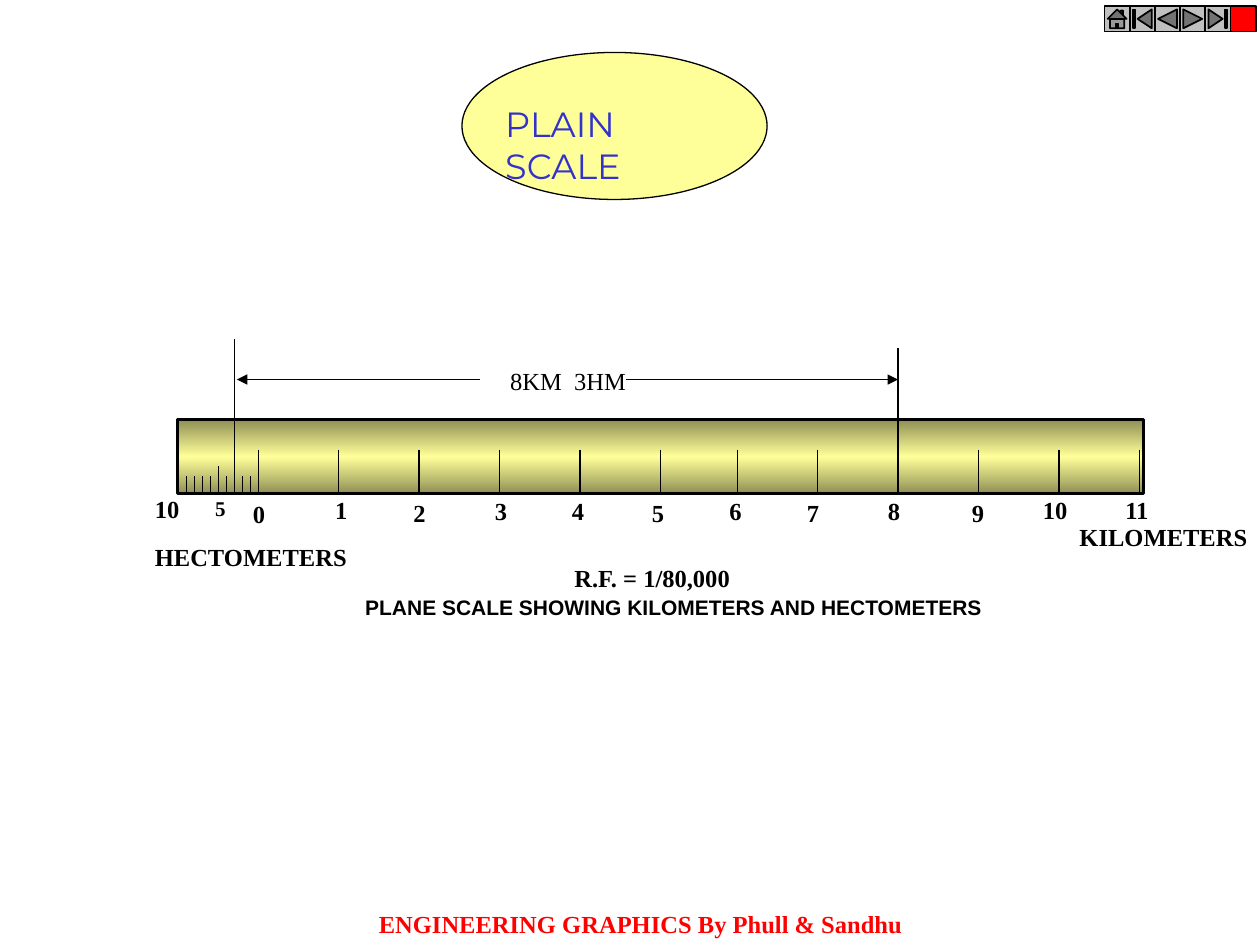
from copy import deepcopy
from typing import NamedTuple

from lxml.etree import SubElement
from pptx import Presentation
from pptx.dml.color import RGBColor
from pptx.enum.shapes import MSO_CONNECTOR as Link, MSO_SHAPE as Kind
from pptx.enum.text import MSO_ANCHOR as Anchor, MSO_AUTO_SIZE as Fit, PP_ALIGN as Align
from pptx.oxml.ns import qn
from pptx.util import Pt

BLACK, RED, GREY = "000000", "FF0000", "C0C0C0"
CREAM, OLIVE, BLUE = "FFFF99", "8F8F56", "3333CC"
SERIF = "Times New Roman"
LEFT, RIGHT, TOP, BASE = 101.5, 653.4, 239.8, 282.2
ZERO, KM, HM = 147.6, 45.95, 4.57


class Label(NamedTuple):
    text: str
    x: float
    y: float
    w: float
    h: float = 24.5
    size: float = 14
    bold: bool = True
    font: str = SERIF
    color: str = BLACK
    align: Align = Align.LEFT
    wrap: bool = False


class Rule(NamedTuple):
    x1: float
    y1: float
    x2: float
    y2: float
    arrow: bool = False


class Mark(NamedTuple):
    """Centre and top of a kilometer number under the ruler."""
    mid: float
    top: float


MARKS = [
    Mark(148, 281.5), Mark(195, 279.4), Mark(239.7, 280.8), Mark(286.3, 280.1),
    Mark(330.3, 280.1), Mark(376, 280.8), Mark(420.3, 280.1), Mark(464.6, 280.8),
    Mark(510.9, 280.1), Mark(558.9, 280.8), Mark(602.9, 279.4), Mark(649.7, 279.4),
]
LABELS = [
    Label("KILOMETERS", 609.8, 294.5, 110.2),
    Label("HECTOMETERS", 81.4, 306, 124.6),
    Label("8KM  3HM", 284.4, 205.9, 80.6, bold=False),
    Label("R.F. = 1/80,000", 321.1, 318.2, 104.4),
    Label("PLANE SCALE SHOWING KILOMETERS AND HECTOMETERS",
          201.6, 336.2, 367.9, 21.6, 12, font="Arial"),
    Label("10", 81.4, 278.6, 28.1),
    Label("5", 115.9, 279.4, 20.2, 21.6, 12),
    Label("ENGINEERING GRAPHICS By Phull & Sandhu", 192.2, 516.2, 347.8,
          color=RED, align=Align.CENTER, wrap=True),
]
BUTTONS = [
    Kind.ACTION_BUTTON_HOME, Kind.ACTION_BUTTON_BEGINNING,
    Kind.ACTION_BUTTON_BACK_OR_PREVIOUS, Kind.ACTION_BUTTON_FORWARD_OR_NEXT,
    Kind.ACTION_BUTTON_END, Kind.ACTION_BUTTON_CUSTOM,
]


def rgb(color: str) -> RGBColor:
    return RGBColor.from_string(color)


def write(box, item: Label) -> None:
    """Place a box and set its text."""
    box.left, box.top, box.width, box.height = map(Pt, item[1:5])
    frame = box.text_frame
    frame.word_wrap = item.wrap
    frame.auto_size = Fit.NONE
    frame.vertical_anchor = Anchor.TOP
    frame.margin_left = frame.margin_right = Pt(7.2)
    frame.margin_top = frame.margin_bottom = Pt(3.6)
    para = frame.paragraphs[0]
    para.alignment = item.align
    run = para.add_run()
    run.text = item.text
    font = run.font
    font.name, font.size, font.bold = item.font, Pt(item.size), item.bold
    font.color.rgb = rgb(item.color)


def label(slide, item: Label) -> None:
    write(slide.shapes.add_textbox(0, 0, 0, 0), item)


def shape(slide, kind: Kind, x: float, y: float, w: float, h: float,
          color: str, line: float):
    item = slide.shapes.add_shape(kind, Pt(x), Pt(y), Pt(w), Pt(h))
    item.shadow.inherit = False
    item.fill.solid()
    item.fill.fore_color.rgb = rgb(color)
    item.line.color.rgb = rgb(BLACK)
    item.line.width = Pt(line)
    return item


def shade(item, *colors: str) -> None:
    """Fill with an evenly spaced vertical gradient of three colours."""
    item.fill.gradient()
    item.fill.gradient_angle = 90
    stops = item.element.spPr.find(".//" + qn("a:gsLst"))
    stops.append(deepcopy(stops[-1]))
    for i, (stop, color) in enumerate(zip(item.fill.gradient_stops, colors)):
        stop.position = i / 2
        stop.color.rgb = rgb(color)


def draw(slide, rule: Rule) -> None:
    item = slide.shapes.add_connector(Link.STRAIGHT, *map(Pt, rule[:4]))
    item.line.color.rgb = rgb(BLACK)
    item.line.width = Pt(0.75)
    props = item.element.spPr
    if rule.arrow:
        SubElement(props.find(qn("a:ln")), qn("a:tailEnd"), type="triangle")
    SubElement(props, qn("a:effectLst"))


def ruler(slide) -> None:
    bar = shape(slide, Kind.RECTANGLE, LEFT, TOP, RIGHT - LEFT, BASE - TOP, CREAM, 1.5)
    shade(bar, OLIVE, CREAM, OLIVE)
    draw(slide, Rule(LEFT, BASE, RIGHT, BASE))
    draw(slide, Rule(LEFT, 257, LEFT, BASE))
    for i in range(10):
        x = ZERO - i * HM
        draw(slide, Rule(x, 266.4 if i == 5 else 272.2, x, BASE))
    for i, mark in enumerate(MARKS):
        x = ZERO + i * KM - (2 if i > 5 else 0)
        draw(slide, Rule(x, 257, x, BASE))
        label(slide, Label(str(i), mark.mid - 18, mark.top, 36, align=Align.CENTER))


def size(slide) -> None:
    """Draw the dimension of 8 km 3 hm above the ruler."""
    start, end, y = ZERO - 3 * HM, ZERO + 8 * KM - 2, 216.9
    draw(slide, Rule(end, 264.2, end, 198.7))
    draw(slide, Rule(start, 272.2, start, 193.7))
    draw(slide, Rule(357.8, y, end, y, True))
    draw(slide, Rule(274.3, y, start + 1.5, y, True))


def main() -> None:
    deck = Presentation()
    deck.slide_width, deck.slide_height = Pt(720), Pt(540)
    slide = deck.slides.add_slide(deck.slide_layouts[5])
    ruler(slide)
    size(slide)
    for item in LABELS:
        label(slide, item)
    shape(slide, Kind.OVAL, 264, 30, 174.4, 84, CREAM, 0.75)
    title = slide.shapes.title
    write(title, Label("PLAIN SCALE", 281.5, 54.7, 140.4, 31.7, 20, False,
                       "Montserrat", BLUE, wrap=True))
    title.element.getparent().append(title.element)  # in front of the oval
    for i, kind in enumerate(BUTTONS):
        color = RED if kind == Kind.ACTION_BUTTON_CUSTOM else GREY
        shape(slide, kind, 631.2 + i * 14.4, 3.6, 14.4, 14.4, color, 1)
    deck.save("out.pptx")


if __name__ == "__main__":
    main()
